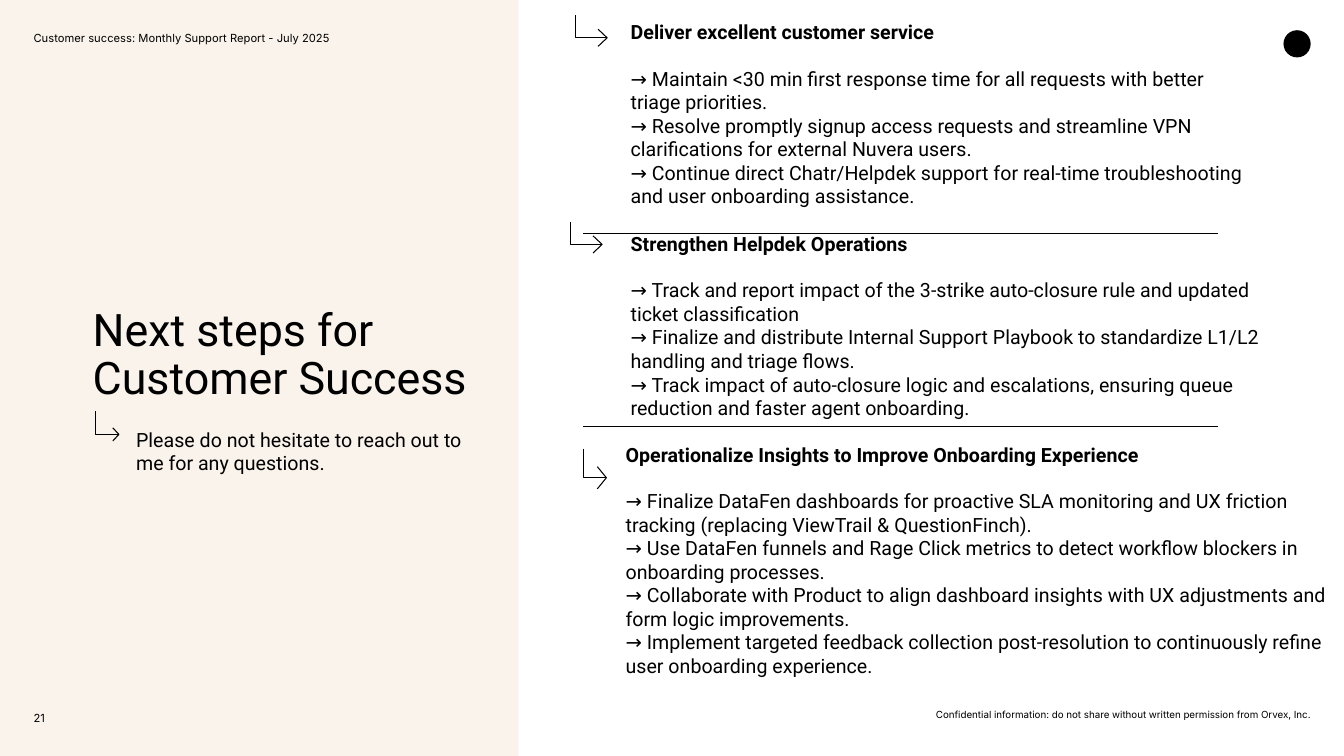
from lxml.etree import SubElement
from pptx import Presentation
from pptx.dml.color import RGBColor
from pptx.enum.shapes import MSO_CONNECTOR, MSO_SHAPE
from pptx.enum.text import MSO_ANCHOR, PP_ALIGN
from pptx.oxml.ns import qn
from pptx.util import Inches, Pt

INK = RGBColor(0x00, 0x00, 0x00)
CREAM = RGBColor(0xFA, 0xF3, 0xEB)
WIDTH, HEIGHT = Inches(13.34), Inches(7.5)
COLS, ROWS = 40, 30
LINE = 0.94

SMALL = {"name": "Inter", "size": Pt(8)}
TINY = {"name": "Inter", "size": Pt(7)}
BODY = {"name": "Roboto", "size": Pt(14), "bold": False}
HEAD = {**BODY, "bold": True}
TITLE = {"name": "Roboto", "size": Pt(32)}

LEFT_ARROW = (0.69, 0.92, 0.18, 0.26)
WIDE_ARROW = (0.95, 0.9, 0.27, 0.34)
TALL_ARROW = (0.69, 1.16, 0.27, 0.44)

SECTIONS = [
    ((18.77, 0.8, 18.53), (17.12, 0.6, *WIDE_ARROW),
     "Deliver excellent customer service",
     ["Maintain <30 min first response time for all requests with better triage priorities.",
      "Resolve promptly signup access requests and streamline VPN clarifications for external Nuvera users.",
      "Continue direct Chatr/Helpdek support for real-time troubleshooting and user onboarding assistance."]),
    ((18.77, 9.2, 19.49), (16.97, 8.8, *WIDE_ARROW),
     "Strengthen Helpdek Operations",
     ["Track and report impact of the 3-strike auto-closure rule and updated ticket classification",
      "Finalize and distribute Internal Support Playbook to standardize L1/L2 handling and triage flows.",
      "Track impact of auto-closure logic and escalations, ensuring queue reduction and faster agent onboarding."]),
    ((18.62, 17.56, 21.14), (17.36, 17.8, *TALL_ARROW),
     "Operationalize Insights to Improve Onboarding Experience",
     ["Finalize DataFen dashboards for proactive SLA monitoring and UX friction tracking (replacing ViewTrail & QuestionFinch).",
      "Use DataFen funnels and Rage Click metrics to detect workflow blockers in onboarding processes.",
      "Collaborate with Product to align dashboard insights with UX adjustments and form logic improvements.",
      "Implement targeted feedback collection post-resolution to continuously refine user onboarding experience."]),
]


class Deck:
    """Draws styled elements on the current slide, measured in grid columns and rows."""

    def __init__(self, prs):
        self.s = prs.slides.add_slide(prs.slide_layouts[6])
        self.col, self.row = WIDTH / COLS, HEIGHT / ROWS

    def place(self, *lengths):
        return [round(n * (self.row if i % 2 else self.col)) for i, n in enumerate(lengths)]

    def apply(self, target, fmt):
        for key, value in fmt.items():
            setattr(target, key, value)

    def stroke(self, sp):
        sp.line.color.rgb = INK
        sp.line.width = Pt(0.75)

    def block(self, kind, box, color):
        sp = self.s.shapes.add_shape(kind, *self.place(*box))
        sp.shadow.inherit = False
        sp.fill.solid()
        sp.fill.fore_color.rgb = color
        sp.line.fill.background()

    def text(self, box, paragraphs, anchor=MSO_ANCHOR.TOP, **layout):
        tf = self.s.shapes.add_textbox(*self.place(*box)).text_frame
        self.apply(tf, {"word_wrap": True, "vertical_anchor": anchor, "margin_left": 0,
                        "margin_right": 0, "margin_top": 0, "margin_bottom": 0})
        for i, (words, font, gap) in enumerate(paragraphs):
            p = tf.add_paragraph() if i else tf.paragraphs[0]
            self.apply(p, {"space_before": Pt(gap), **layout})
            r = p.add_run()
            r.text = words
            self.apply(r.font, font)
            r.font.color.rgb = INK

    def elbow_arrow(self, x, y, w, h, head_w, head_h):
        tip_x, tip_y = x + w, y + h
        start, corner, tip, upper, lower = [self.place(*point) for point in (
            (x, y), (x, tip_y), (tip_x, tip_y),
            (tip_x - head_w, tip_y - head_h), (tip_x - head_w, tip_y + head_h))]
        fb = self.s.shapes.build_freeform(*start)
        fb.add_line_segments([corner, tip], close=False)
        fb.move_to(*upper)
        fb.add_line_segments([tip, lower], close=False)
        sp = fb.convert_to_shape()
        sp.shadow.inherit = False
        sp.fill.background()
        self.stroke(sp)

    def rule(self, left, right, y):
        cn = self.s.shapes.add_connector(MSO_CONNECTOR.STRAIGHT, *self.place(left, y, right, y))
        self.stroke(cn)
        SubElement(cn._element.spPr, qn("a:effectLst"))

    def section(self, spot, arrow, heading, steps):
        self.elbow_arrow(*arrow)
        paragraphs = [(heading, HEAD, 0)]
        paragraphs += [("→ " + step, BODY, 0 if i else 16.4) for i, step in enumerate(steps)]
        self.text((*spot, LINE * 2 * (len(steps) + 1)), paragraphs)


def main():
    prs = Presentation()
    prs.slide_width, prs.slide_height = WIDTH, HEIGHT
    deck = Deck(prs)
    middle = MSO_ANCHOR.MIDDLE
    deck.block(MSO_SHAPE.RECTANGLE, (0, 0, 15.44, ROWS), CREAM)
    deck.block(MSO_SHAPE.OVAL, (38.2, 1.2, 0.81, 1.08), INK)
    deck.text((1, 1.04, 14.45, 0.92),
              [("Customer success: Monthly Support Report - July 2025", SMALL, 0)], middle)
    deck.text((2.76, 8.76, 11.3, 7.28), [("Next steps for Customer Success", TITLE, 0)],
              MSO_ANCHOR.BOTTOM, line_spacing=0.9)
    deck.elbow_arrow(2.85, 16.32, *LEFT_ARROW)
    deck.text((4.05, 16.96, 10.04, 2.84),
              [("Please do not hesitate to reach out to me for any questions.", BODY, 0)])
    for section in SECTIONS:
        deck.section(*section)
    for y in (9.28, 16.92):
        deck.rule(17.36, 36.25, y)
    deck.text((1, 28.04, 1, 0.92), [("21", SMALL, 0)], middle)
    deck.text((22.7, 28.12, 16.31, 0.48),
              [("Confidential information: do not share without written permission from Orvex, Inc.", TINY, 0)],
              middle, alignment=PP_ALIGN.RIGHT)
    prs.save("out.pptx")


if __name__ == "__main__":
    main()
